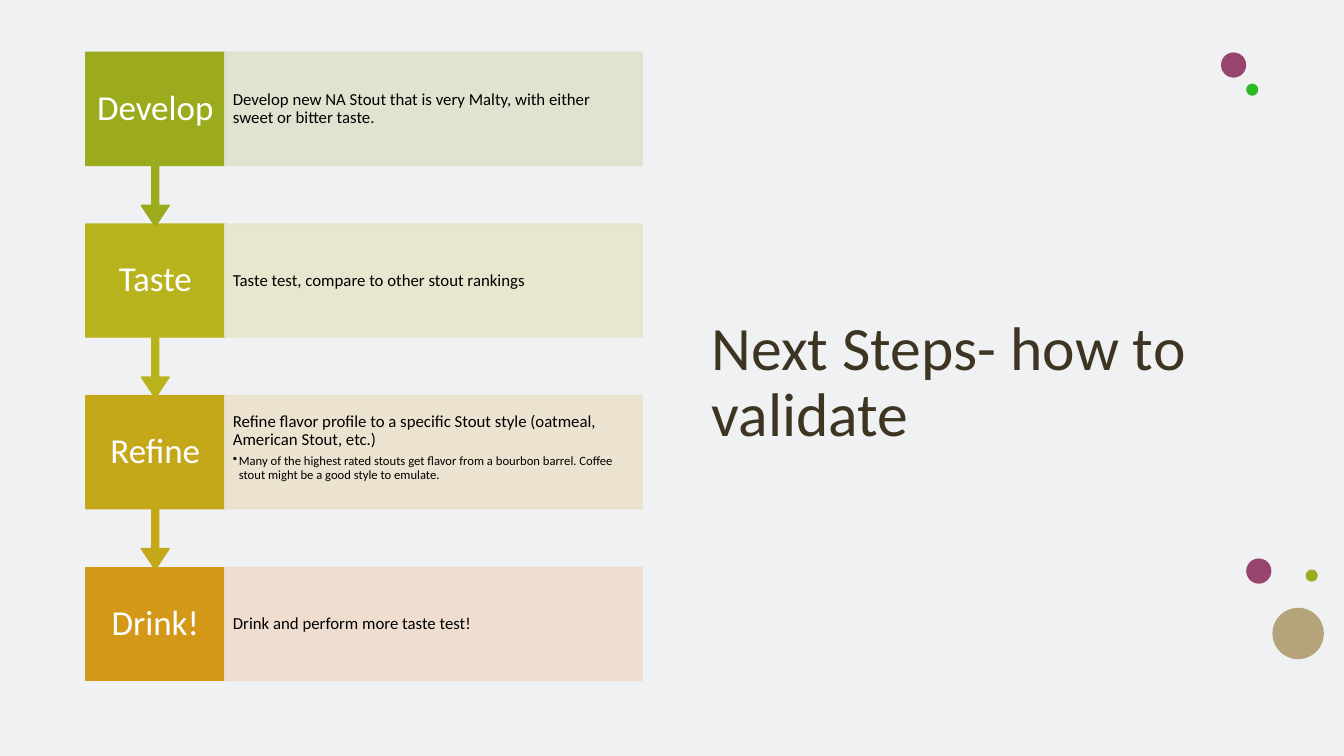
from lxml.etree import SubElement
from pptx import Presentation
from pptx.dml.color import RGBColor
from pptx.enum.shapes import MSO_SHAPE
from pptx.enum.text import MSO_ANCHOR, PP_ALIGN
from pptx.oxml.ns import qn
from pptx.util import Inches, Pt

FONT = "Calibri"
COLORS = {
    "background": "EFF1F2", "title": "3D3522", "label": "FFFFFF", "detail": "000000",
    "develop": "9CAB1E", "develop_tint": "DFE2CD",
    "taste": "B8B31C", "taste_tint": "E7E5CC",
    "refine": "C5A71A", "refine_tint": "EBE2CC",
    "drink": "D39817", "drink_tint": "EFDDCC",
    "plum": "97446E", "green": "2BBA21", "sand": "B5A37A", "olive": "9CAB1E",
}
# Colour key, label, detail, bullet under the detail
STEPS = [
    ("develop", "Develop",
     "Develop new NA Stout that is very Malty, with either sweet or bitter taste.", None),
    ("taste", "Taste", "Taste test, compare to other stout rankings", None),
    ("refine", "Refine",
     "Refine flavor profile to a specific Stout style (oatmeal, American Stout, etc.)",
     "Many of the highest rated stouts get flavor from a bourbon barrel. "
     "Coffee stout might be a good style to emulate."),
    ("drink", "Drink!", "Drink and perform more taste test!", None),
]
# Colour key, then left, top and diameter within the right-hand margin
DOTS = [
    ("plum", 0, 0, 0.25), ("green", 0.25, 0.31, 0.12), ("plum", 0.25, 5.02, 0.25),
    ("olive", 0.84, 5.13, 0.12), ("sand", 0.51, 5.51, 0.51),
]


def rgb(key):
    return RGBColor.from_string(COLORS[key])


def add_panel(slide, preset, box, color, opacity=100):
    panel = slide.shapes.add_shape(preset, *map(Inches, box))
    panel.shadow.inherit = False
    panel.fill.solid()
    panel.fill.fore_color.rgb = rgb(color)
    panel.line.color.rgb = rgb(color)
    panel.line.width = Pt(1)
    if opacity < 100:
        for tint in panel.fill._xPr.iter(qn("a:srgbClr")):
            SubElement(tint, qn("a:alpha"), val=str(opacity * 1000))
    return panel


def set_frame(shape, inset_x, inset_y, anchor=MSO_ANCHOR.MIDDLE):
    frame = shape.text_frame
    frame.word_wrap = True
    frame.vertical_anchor = anchor
    frame.margin_left = frame.margin_right = Inches(inset_x)
    frame.margin_top = frame.margin_bottom = Inches(inset_y)
    return frame


def write(paragraph, words, size, color, align=PP_ALIGN.LEFT, space_after=0.35):
    paragraph.alignment = align
    paragraph.line_spacing = 0.9
    paragraph.space_before = Pt(0)
    paragraph.space_after = Pt(size * space_after)
    run = paragraph.add_run()
    run.text = words
    run.font.name, run.font.size = FONT, Pt(size)
    run.font.color.rgb = rgb(color)


def add_bullet(paragraph, indent):
    properties = paragraph._p.get_or_add_pPr()
    properties.set("marL", str(Inches(indent)))
    properties.set("indent", str(-Inches(indent)))
    SubElement(properties, qn("a:buChar"), char="•")


def add_steps(slide, left, top, width, height):
    column = width / 4
    row = 0.18 * height
    pitch = (height - row) / (len(STEPS) - 1)
    # Last step first, so that each arrow tip lies over the next step
    for index, (key, label, detail, bullet) in reversed(list(enumerate(STEPS))):
        y = top + index * pitch
        # Label, with an arrow to the next step
        if index < len(STEPS) - 1:
            step = add_panel(slide, MSO_SHAPE.DOWN_ARROW_CALLOUT,
                             (left, y, column, row / 0.65), key)
            for position, share in enumerate((0.05, 0.1, 0.15, 0.65)):
                step.adjustments[position] = share
        else:
            step = add_panel(slide, MSO_SHAPE.RECTANGLE, (left, y, column, row), key)
        write(set_frame(step, 0.1, 0.19).paragraphs[0], label, 25, "label", PP_ALIGN.CENTER)
        # Detail
        tint = add_panel(slide, MSO_SHAPE.RECTANGLE,
                         (left + column, y, 3 * column, row), key + "_tint", 90)
        anchor = MSO_ANCHOR.TOP if bullet else MSO_ANCHOR.MIDDLE
        frame = set_frame(tint, 0.08, 0.17, anchor)
        write(frame.paragraphs[0], detail, 12, "detail")
        if bullet:
            point = frame.add_paragraph()
            point.level = 1
            write(point, bullet, 9, "detail", space_after=0.15)
            add_bullet(point, 0.06)


def add_title(slide, left, top, width, height):
    title = slide.shapes.add_textbox(*map(Inches, (left, top, width, height)))
    write(set_frame(title, 0.1, 0.05).paragraphs[0],
          "Next Steps- how to validate", 44, "title", space_after=0)


def add_dots(slide, left, top):
    for color, x, y, diameter in DOTS:
        dot = add_panel(slide, MSO_SHAPE.OVAL, (left + x, top + y, diameter, diameter), color)
        dot.line.fill.background()


deck = Presentation()
deck.slide_width, deck.slide_height = Inches(13.33), Inches(7.5)
next_steps = deck.slides.add_slide(deck.slide_layouts[6])
next_steps.background.fill.solid()
next_steps.background.fill.fore_color.rgb = rgb("background")

add_dots(next_steps, 12.11, 0.52)
add_title(next_steps, 6.96, 0.85, 5.32, 5.91)
add_steps(next_steps, 0.85, 0.52, 5.52, 6.23)
deck.save("out.pptx")
